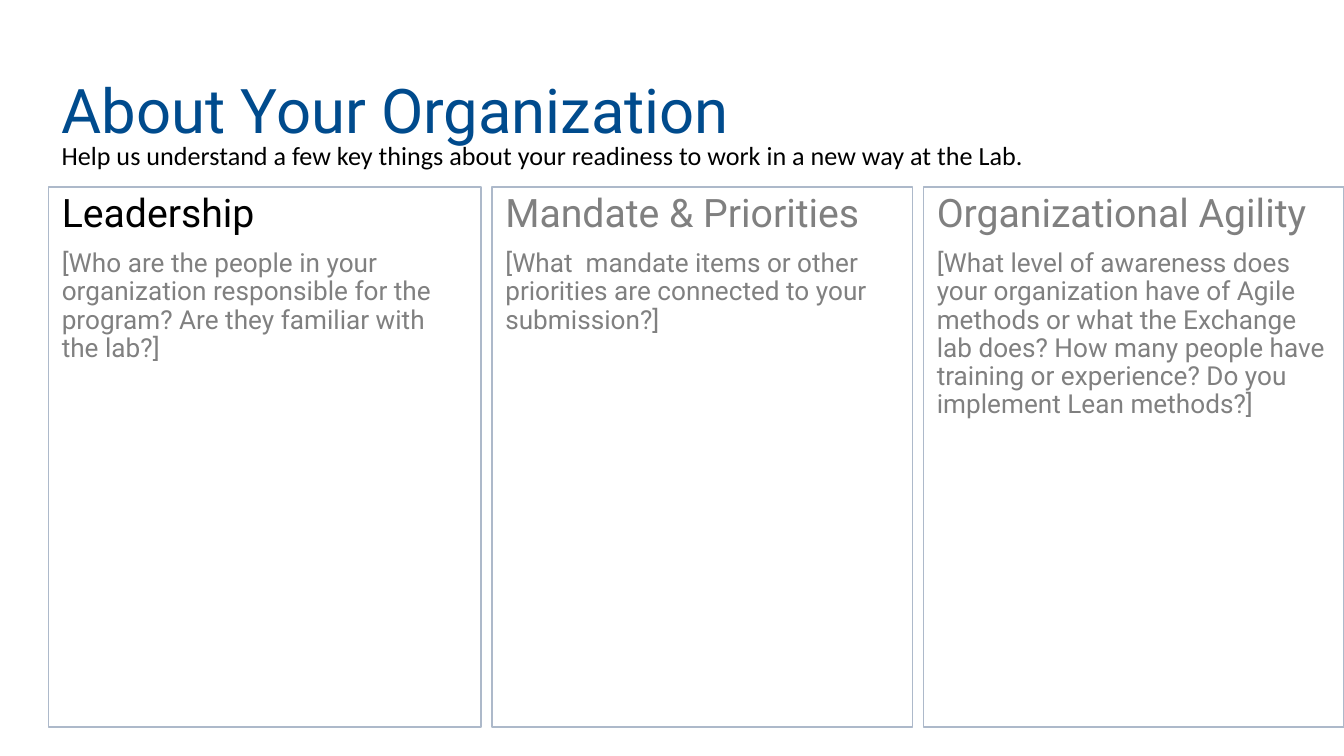
from lxml import etree
from pptx import Presentation
from pptx.dml.color import RGBColor
from pptx.enum.text import MSO_ANCHOR, MSO_AUTO_SIZE, PP_ALIGN
from pptx.oxml.ns import qn
from pptx.util import Inches, Pt

# Content
TITLE = "About Your Organization"
INTRO = ("Help us understand a few key things about your readiness "
         "to work in a new way at the Lab.")
# heading, heading colour, prompt, panel width
PANELS = [
    ("Leadership", "black",
     "[Who are the people in your organization responsible for the program? "
     "Are they familiar with the lab?]", 3.22),
    ("Mandate & Priorities", "grey",
     "[What  mandate items or other priorities are connected to your "
     "submission?]", 3.13),
    ("Organizational Agility", "grey",
     "[What level of awareness does your organization have of Agile methods "
     "or what the Exchange lab does? How many people have training or "
     "experience? Do you implement Lean methods?]", 3.13),
]

# Format
COLORS = {"blue": "004B8D", "black": "000000", "grey": "808080",
          "white": "FFFFFF", "border": "ADB9CA"}
FRAME = {"vertical_anchor": MSO_ANCHOR.TOP, "word_wrap": True,
         "auto_size": MSO_AUTO_SIZE.NONE}
LEFT, PANEL_TOP, PANEL_HEIGHT, GAP = 0.36, 1.39, 4.02, 0.08


def color(name):
    return RGBColor.from_string(COLORS[name])


def apply(target, values):
    for name, value in values.items():
        setattr(target, name, value)


def place(shape, left, top, width, height):
    apply(shape, {"left": Inches(left), "top": Inches(top),
                  "width": Inches(width), "height": Inches(height)})


def write(paragraph, text, size, color_name, font="Roboto", **spacing):
    paragraph.text = text
    apply(paragraph, {"alignment": PP_ALIGN.LEFT, **spacing})
    apply(paragraph.font, {"size": Pt(size), "name": font, "bold": False})
    paragraph.font.color.rgb = color(color_name)


def remove_bullet(paragraph):
    properties = paragraph._p.get_or_add_pPr()
    properties.set("marL", "0")
    properties.set("indent", "0")
    etree.SubElement(properties, qn("a:buNone"))


# Widescreen slide, 16:9
prs = Presentation()
prs.slide_width = Inches(10)
prs.slide_height = prs.slide_width * 9 // 16
slide = prs.slides.add_slide(prs.slide_layouts.get_by_name("Comparison"))
title, *bodies = slide.placeholders

# Title
place(title, LEFT, 0.3, 9.25, 1.09)
apply(title.text_frame, {**FRAME, "vertical_anchor": MSO_ANCHOR.MIDDLE})
write(title.text_frame.paragraphs[0], TITLE, 33, "blue", line_spacing=0.9)

# Panels, left to right
left = LEFT
for panel, (heading, heading_color, prompt, width) in zip(bodies, PANELS):
    place(panel, left, PANEL_TOP, width, PANEL_HEIGHT)
    left += width + GAP
    panel.fill.solid()
    panel.fill.fore_color.rgb = color("white")
    fill_color = panel._element.spPr.find(".//" + qn("a:srgbClr"))
    etree.SubElement(fill_color, qn("a:alpha"), val="83000")
    panel.line.color.rgb = color("border")
    panel.line.width = Pt(0.75)

    frame = panel.text_frame
    apply(frame, FRAME)
    heading_line, prompt_line = frame.paragraphs[0], frame.add_paragraph()
    for paragraph in (heading_line, prompt_line):
        remove_bullet(paragraph)
    write(heading_line, heading, 21, heading_color,
          line_spacing=0.9, space_before=Pt(0))
    write(prompt_line, prompt, 14, "grey",
          line_spacing=0.9, space_before=Pt(7.5))

# Unused placeholders
for spare in bodies[len(PANELS):]:
    spare._element.getparent().remove(spare._element)

# Introduction under the title
intro = slide.shapes.add_textbox(Inches(LEFT), Inches(0.99),
                                 Inches(8.66), Inches(0.34))
apply(intro.text_frame, {**FRAME, "auto_size": MSO_AUTO_SIZE.SHAPE_TO_FIT_TEXT})
write(intro.text_frame.paragraphs[0], INTRO, 14, "black", "Calibri",
      space_after=Pt(12))

prs.save("out.pptx")
